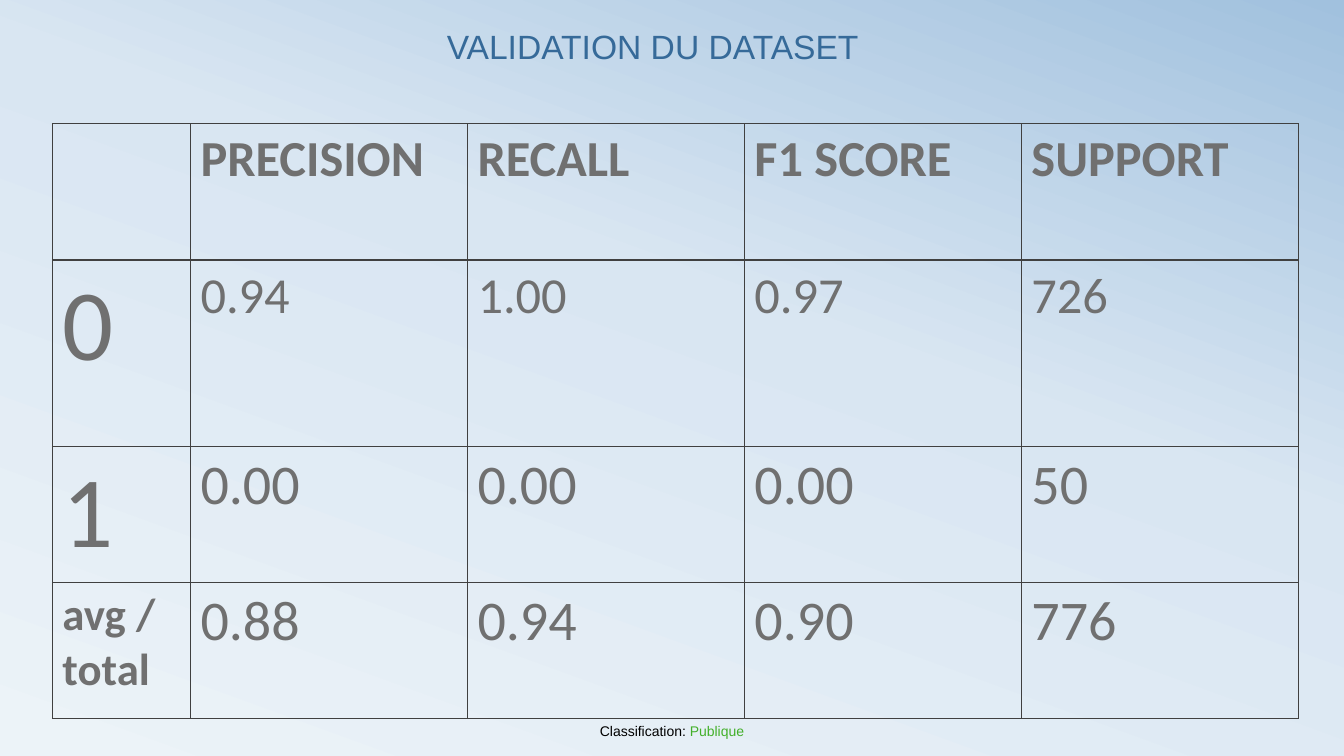
import copy
from dataclasses import dataclass

import lxml.etree
import pptx
import pptx.dml.color
import pptx.enum.text
import pptx.oxml.ns
import pptx.util

Cm = pptx.util.Cm
qn = pptx.oxml.ns.qn

COLORS = {
    "title": "366A99",
    "table": "707070",
    "border": "404040",
    "label": "000000",
    "level": "43B02A",
}
GRADIENT = [(0, "ECF3F8"), (0.58, "D9E6F2"), (1, "A1C1DE")]
COLUMN_WIDTHS = [3.48] + [6.98] * 4


@dataclass
class Run:
    text: str
    size: float
    color: str
    font: str = "Arial"
    bold: bool = False


@dataclass
class TextBox:
    left: float
    top: float
    width: float
    height: float
    runs: list[Run]
    line_spacing: float = 1.0


@dataclass
class Row:
    height: float
    label: str
    values: list[str]
    label_size: float
    value_size: float
    label_bold: bool = False
    value_bold: bool = False


TEXT_BOXES = [
    TextBox(0, 18.08, 33.87, 0.69, [
        Run("Classification: ", 10, "label"),
        Run("Publique", 10, "level"),
    ]),
    TextBox(6.12, 0.46, 20.88, 1.52, [Run("VALIDATION DU DATASET ", 24, "title")], 0.9),
]
ROWS = [
    Row(3.43, "", ["PRECISION", "RECALL", "F1 SCORE", "SUPPORT"], 36, 36, value_bold=True),
    Row(4.7, "0", ["0.94", "1.00", "0.97", "726"], 72, 36),
    Row(3.43, "1", ["0.00", "0.00", "0.00", "50"], 72, 40),
    Row(3.43, "avg / total", ["0.88", "0.94", "0.90", "776"], 32, 40, label_bold=True),
]


def rgb(value: str) -> pptx.dml.color.RGBColor:
    return pptx.dml.color.RGBColor.from_string(value)


def paint_background(slide) -> None:
    fill = slide.background.fill
    fill.gradient()
    fill.gradient_angle = 70
    stop_list = next(slide.element.iter(qn("a:gsLst")))
    stop_list.append(copy.deepcopy(stop_list[-1]))
    for stop, (position, color) in zip(fill.gradient_stops, GRADIENT):
        stop.position = position
        stop.color.rgb = rgb(color)


def add_run(paragraph, run: Run) -> None:
    text_run = paragraph.add_run()
    text_run.text = run.text
    formats = {"name": run.font, "size": pptx.util.Pt(run.size), "bold": run.bold}
    for name, value in formats.items():
        setattr(text_run.font, name, value)
    text_run.font.color.rgb = rgb(COLORS[run.color])


def add_text_box(slide, box: TextBox) -> None:
    shape = slide.shapes.add_textbox(Cm(box.left), Cm(box.top), Cm(box.width), Cm(box.height))
    formats = {"word_wrap": True, "vertical_anchor": pptx.enum.text.MSO_ANCHOR.MIDDLE}
    for name, value in formats.items():
        setattr(shape.text_frame, name, value)
    paragraph = shape.text_frame.paragraphs[0]
    paragraph.alignment = pptx.enum.text.PP_ALIGN.CENTER
    paragraph.line_spacing = box.line_spacing
    for run in box.runs:
        add_run(paragraph, run)


def add_borders(cell) -> None:
    properties = cell._tc.get_or_add_tcPr()
    for position, side in enumerate(("a:lnL", "a:lnR", "a:lnT", "a:lnB")):
        line = lxml.etree.Element(qn(side), w=str(pptx.util.Pt(1)))
        fill = lxml.etree.SubElement(line, qn("a:solidFill"))
        lxml.etree.SubElement(fill, qn("a:srgbClr"), val=COLORS["border"])
        properties.insert(position, line)


def add_score_table(slide, rows: list[Row]) -> None:
    frame = slide.shapes.add_table(
        len(rows), len(COLUMN_WIDTHS), Cm(1.32), Cm(3.12),
        Cm(sum(COLUMN_WIDTHS)), Cm(sum(row.height for row in rows)),
    )
    table = frame.table
    for name, value in {"first_row": False, "horz_banding": False}.items():
        setattr(table, name, value)
    for column, width in zip(table.columns, COLUMN_WIDTHS):
        column.width = Cm(width)
    for table_row, row in zip(table.rows, rows):
        table_row.height = Cm(row.height)
        runs = [Run(row.label, row.label_size, "table", "Calibri", row.label_bold)]
        runs += [Run(value, row.value_size, "table", "Calibri", row.value_bold)
                 for value in row.values]
        for cell, run in zip(table_row.cells, runs):
            cell.fill.background()
            add_borders(cell)
            if run.text:
                add_run(cell.text_frame.paragraphs[0], run)


def main() -> None:
    presentation = pptx.Presentation()
    presentation.slide_width = Cm(33.87)
    presentation.slide_height = Cm(19.05)
    slide = presentation.slides.add_slide(presentation.slide_layouts[6])

    # Background, title and classification
    paint_background(slide)
    for box in TEXT_BOXES:
        add_text_box(slide, box)

    # Validation scores
    add_score_table(slide, ROWS)
    presentation.save("out.pptx")


if __name__ == "__main__":
    main()
